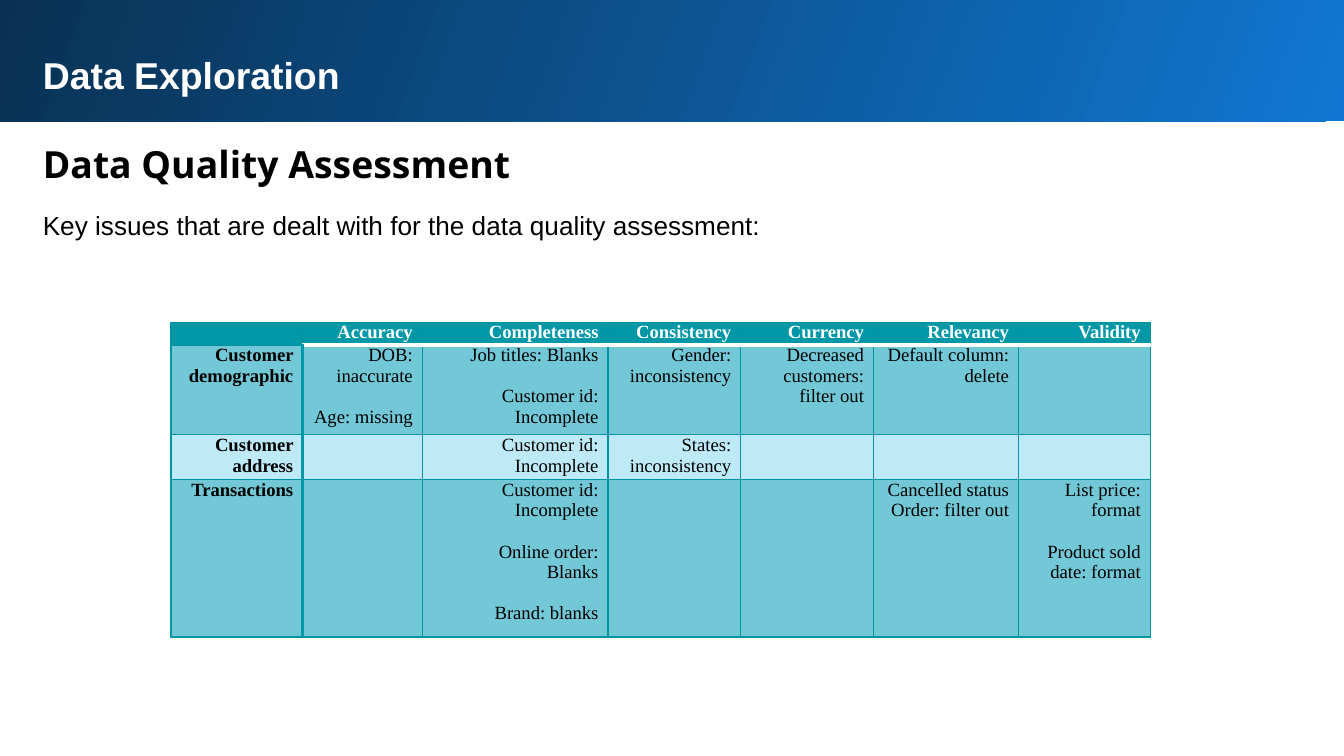
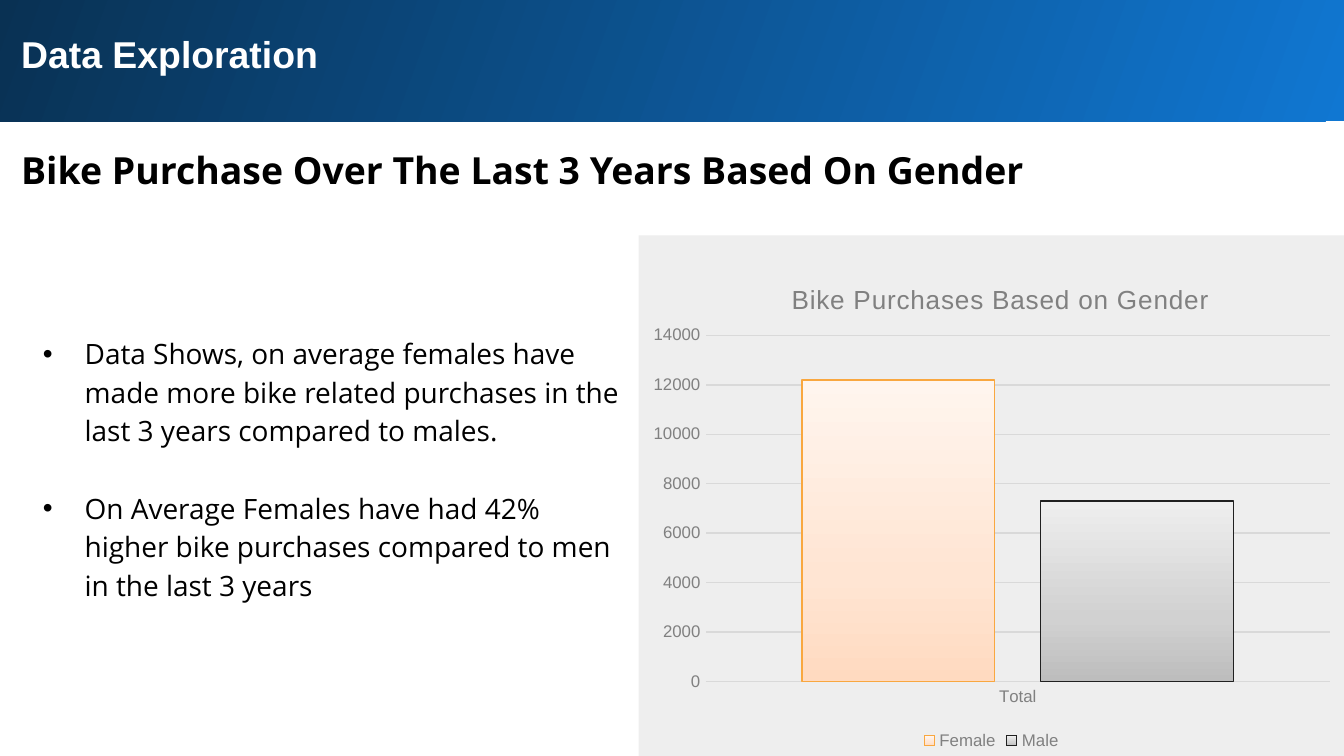
from copy import deepcopy
from dataclasses import dataclass

from lxml.etree import SubElement
from pptx import Presentation
from pptx.chart.data import CategoryChartData
from pptx.dml.color import RGBColor
from pptx.enum.chart import XL_CHART_TYPE, XL_LEGEND_POSITION, XL_TICK_MARK
from pptx.enum.shapes import MSO_SHAPE
from pptx.enum.text import MSO_ANCHOR, MSO_AUTO_SIZE, PP_ALIGN
from pptx.oxml import parse_xml
from pptx.oxml.ns import nsdecls, qn
from pptx.util import Cm, Pt


@dataclass(frozen=True)
class Theme:
    heading_font: str = "Open Sans"
    text_font: str = "Arial"
    table_font: str = "Times New Roman"
    white: str = "FFFFFF"
    black: str = "000000"
    grey: str = "808080"
    grid: str = "D9D9D9"
    panel: str = "EEEEEE"
    header_fill: str = "0097A7"
    border: str = "0094A3"
    dark_row: str = "72C8D6"
    light_row: str = "BEE9F7"
    band_stops: tuple = ((0, "1077D2"), (1, "093153"))
    title_size: float = 20
    body_size: float = 15
    lead_size: float = 14
    table_size: float = 10
    label_size: float = 9
    thin: float = 0.75
    thick: float = 2


THEME = Theme()
BANNER = "Data Exploration"

QUALITY = {
    "heading": "Data Quality Assessment",
    "lead": "Key issues that are dealt with for the data quality assessment:",
    "columns": [2.49, 2.26, 3.51, 2.51, 2.51, 2.74, 2.49],
    "rows": [0.43, 1.7, 0.85, 2.97],
    # A line break starts a paragraph; "|" starts a paragraph after a gap.
    "cells": [
        ["", "Accuracy", "Completeness", "Consistency", "Currency", "Relevancy", "Validity"],
        ["Customer demographic", "DOB: inaccurate|Age: missing",
         "Job titles: Blanks|Customer id:\nIncomplete", "Gender: inconsistency",
         "Decreased customers: filter out", "Default column: delete", ""],
        ["Customer address", "", "Customer id:\nIncomplete", "States:\ninconsistency", "", "", ""],
        ["Transactions", "", "Customer id:\nIncomplete|Online order:\nBlanks|Brand: blanks",
         "", "", "Cancelled status\nOrder: filter out",
         "List price: format|Product sold date: format"],
    ],
}

GENDER = {
    "heading": "Bike Purchase Over The Last 3 Years Based On Gender",
    "points": [
        "Data Shows, on average females have made more bike related purchases "
        "in the last 3 years compared to males.",
        "On Average Females have had 42% higher bike purchases compared to men "
        "in the last 3 years",
    ],
    "chart_title": "Bike Purchases Based on Gender",
    "category": "Total",
    "series": [
        ("Female", 12200, "F9A73F", ((0, "FFDAC0"), (0.35, "FFE5D3"), (1, "FFF5EE"))),
        ("Male", 7300, "202020", ((0, "BDBDBD"), (0.35, "D1D1D1"), (1, "EEEEEE"))),
    ],
}


def rgb(color):
    return RGBColor.from_string(color)


def set_font(font, name, size, color, bold=False):
    font.name = name
    font.size = Pt(size)
    font.bold = bold
    font.color.rgb = rgb(color)


def set_line(line, color, width=THEME.thin):
    line.color.rgb = rgb(color)
    line.width = Pt(width)


def set_gradient(fill, properties, stops, angle):
    """Fill with any number of stops; the angle turns counter-clockwise."""
    fill.gradient()
    stop_list = properties.find(qn("a:gradFill")).find(qn("a:gsLst"))
    while len(stop_list) < len(stops):
        stop_list.append(deepcopy(stop_list[0]))
    for stop, (position, color) in zip(fill.gradient_stops, stops):
        stop.position = position
        stop.color.rgb = rgb(color)
    fill.gradient_angle = angle


def place(shape, left, top, width, height):
    shape.left, shape.top, shape.width, shape.height = map(Cm, (left, top, width, height))


def set_frame(frame, margin=0.25):
    frame.word_wrap = True
    frame.auto_size = MSO_AUTO_SIZE.NONE
    frame.vertical_anchor = MSO_ANCHOR.TOP
    frame.margin_left = frame.margin_right = Cm(margin)
    frame.margin_top = frame.margin_bottom = Cm(margin)


def add_rectangle(page, left, top, width, height):
    box = page.shapes.add_shape(MSO_SHAPE.RECTANGLE, *map(Cm, (left, top, width, height)))
    box.shadow.inherit = False
    box.line.fill.background()
    return box


def start_page(deck, layout, heading, left, title_top, heading_top):
    """Add a page with the gradient band, its title and the heading below."""
    page = deck.slides.add_slide(deck.slide_layouts.get_by_name(layout))
    band = add_rectangle(page, -0.05, -0.05, 25.53, 2.34)
    set_gradient(band.fill, band._element.spPr, THEME.band_stops, 160)
    page.shapes._spTree.insert(2, band._element)

    title = page.shapes.title
    place(title, left, title_top, 23.8, 1.33)
    box = page.shapes.add_textbox(Cm(left), Cm(heading_top), Cm(23.8), Cm(1.42))
    for shape, text, font, color in (
        (title, BANNER, THEME.text_font, THEME.white),
        (box, heading, THEME.heading_font, THEME.black),
    ):
        set_frame(shape.text_frame)
        para = shape.text_frame.paragraphs[0]
        para.text = text
        para.alignment = PP_ALIGN.LEFT
        set_font(para.font, font, THEME.title_size, color, True)
    box.text_frame.paragraphs[0].line_spacing = 1.15
    return page


def fill_cell(cell, text, color, bold):
    cell.margin_left = cell.margin_right = Cm(0.18)
    cell.margin_top = cell.margin_bottom = 0
    frame = cell.text_frame
    para = frame.paragraphs[0]
    for group_number, group in enumerate(text.split("|")):
        for line_number, line in enumerate(group.split("\n")):
            if group_number or line_number:
                para = frame.add_paragraph()
            if group_number and not line_number:
                para.space_before = Pt(11)
            para.text = line
            para.alignment = PP_ALIGN.RIGHT
            set_font(para.font, THEME.table_font, THEME.table_size, color, bold)
    if not text:
        SubElement(para._p, qn("a:endParaRPr"), sz=str(THEME.table_size * 100))


def set_borders(cell, row, column):
    teal = (THEME.border, THEME.thin)
    white = (THEME.white, THEME.thick)
    divider = (THEME.header_fill, THEME.thick)
    edges = {
        "lnL": divider if row and column == 1 else teal,
        "lnR": divider if row and column == 0 else teal,
        "lnT": white if row == 1 and column else teal,
        "lnB": white if row == 0 and column else teal,
    }
    properties = cell._tc.get_or_add_tcPr()
    for edge, (color, width) in edges.items():
        line = SubElement(properties, qn(f"a:{edge}"), w=str(Pt(width)))
        SubElement(SubElement(line, qn("a:solidFill")), qn("a:srgbClr"), val=color)


def add_quality_table(page):
    widths, heights = QUALITY["columns"], QUALITY["rows"]
    table = page.shapes.add_table(
        len(heights), len(widths), Cm(3.23), Cm(6.09), Cm(sum(widths)), Cm(sum(heights))
    ).table
    for column, width in zip(table.columns, widths):
        column.width = Cm(width)
    for row, height in zip(table.rows, heights):
        row.height = Cm(height)
    fills = [THEME.header_fill, THEME.dark_row, THEME.light_row, THEME.dark_row]
    for row, texts in enumerate(QUALITY["cells"]):
        for column, text in enumerate(texts):
            cell = table.cell(row, column)
            color = THEME.black if row else THEME.white
            fill_cell(cell, text, color, bold=row == 0 or column == 0)
            set_borders(cell, row, column)
            cell.fill.solid()
            cell.fill.fore_color.rgb = rgb(fills[row])


def fix_layout(element, index, inner=False, **parts):
    """Give a chart part a fixed place, in fractions of the chart."""
    old = element.find(qn("c:layout"))
    if old is not None:
        element.remove(old)
    layout = parse_xml(f"<c:layout {nsdecls('c')}><c:manualLayout/></c:layout>")
    if inner:
        SubElement(layout[0], qn("c:layoutTarget"), val="inner")
    for name in ("x", "y"):
        SubElement(layout[0], qn(f"c:{name}Mode"), val="edge")
    for name, value in parts.items():
        SubElement(layout[0], qn(f"c:{name}"), val=str(value))
    element.insert(index, layout)


def add_gender_chart(page):
    data = CategoryChartData()
    data.categories = [GENDER["category"]]
    for name, value, *_ in GENDER["series"]:
        data.add_series(name, [value])
    chart = page.shapes.add_chart(
        XL_CHART_TYPE.COLUMN_CLUSTERED, Cm(12.07), Cm(4.77), Cm(13.33), Cm(9.52), data
    ).chart
    set_font(chart.font, THEME.text_font, THEME.table_size, THEME.black)

    chart.has_title = True
    para = chart.chart_title.text_frame.paragraphs[0]
    para.text = GENDER["chart_title"]
    set_font(para.font, THEME.text_font, THEME.lead_size, THEME.grey)
    para.font._element.set("spc", "30")
    fix_layout(chart.chart_title._element, 1, x=0.21, y=0.05)
    fix_layout(chart._chartSpace.chart.plotArea, 0, inner=True, x=0.095, y=0.165, w=0.885, h=0.687)

    chart.has_legend = True
    chart.legend.position = XL_LEGEND_POSITION.BOTTOM
    chart.legend.include_in_layout = False
    set_font(chart.legend.font, THEME.text_font, THEME.label_size, THEME.grey)

    values = chart.value_axis
    for axis in (chart.category_axis, values):
        axis.major_tick_mark = axis.minor_tick_mark = XL_TICK_MARK.NONE
        set_font(axis.tick_labels.font, THEME.text_font, THEME.label_size, THEME.grey)
    set_line(chart.category_axis.format.line, THEME.grid)
    values.format.line.fill.background()
    values.minimum_scale, values.maximum_scale, values.major_unit = 0, 14000, 2000
    set_line(values.major_gridlines.format.line, THEME.grid)

    plot = chart.plots[0]
    plot.vary_by_categories = False
    plot.gap_width, plot.overlap = 100, -24
    for series, (_, _, outline, stops) in zip(plot.series, GENDER["series"]):
        set_gradient(series.format.fill, series._element.get_or_add_spPr(), stops, 90)
        set_line(series.format.line, outline)


def build_quality_page(deck):
    page = start_page(deck, "Title Only", QUALITY["heading"], 0.56, 0.74, 2.29)
    add_quality_table(page)
    box = page.shapes.add_textbox(Cm(0.56), Cm(3.84), Cm(14.15), Cm(0.86))
    box.text_frame.word_wrap = False
    para = box.text_frame.paragraphs[0]
    para.text = QUALITY["lead"]
    set_font(para.font, THEME.text_font, THEME.lead_size, THEME.black)


def build_gender_page(deck):
    page = start_page(deck, "Title and Content", GENDER["heading"], 0.15, 0.33, 2.41)
    body = page.placeholders[1]
    place(body, 0.56, 6.02, 11.48, 5.66)
    frame = body.text_frame
    set_frame(frame)
    for number, point in enumerate(GENDER["points"]):
        para = frame.add_paragraph() if number else frame.paragraphs[0]
        para.text = point
        para.line_spacing = 1.15
        para.space_before = Pt(20.7 if number else 0)
        set_font(para.font, THEME.heading_font, THEME.body_size, THEME.black)
        properties = para._p.get_or_add_pPr()
        properties.set("marL", str(Cm(0.79)))
        properties.set("indent", str(-Cm(0.79)))
        bullet = parse_xml(f'<a:buChar {nsdecls("a")} char="•"/>')
        properties.find(qn("a:defRPr")).addprevious(bullet)

    panel = add_rectangle(page, 12.07, 4.45, 13.33, 9.84)
    panel.fill.solid()
    panel.fill.fore_color.rgb = rgb(THEME.panel)
    add_gender_chart(page)


def main():
    deck = Presentation()
    deck.slide_width, deck.slide_height = Cm(25.4), Cm(14.29)
    build_quality_page(deck)
    build_gender_page(deck)
    deck.save("out.pptx")


if __name__ == "__main__":
    main()
